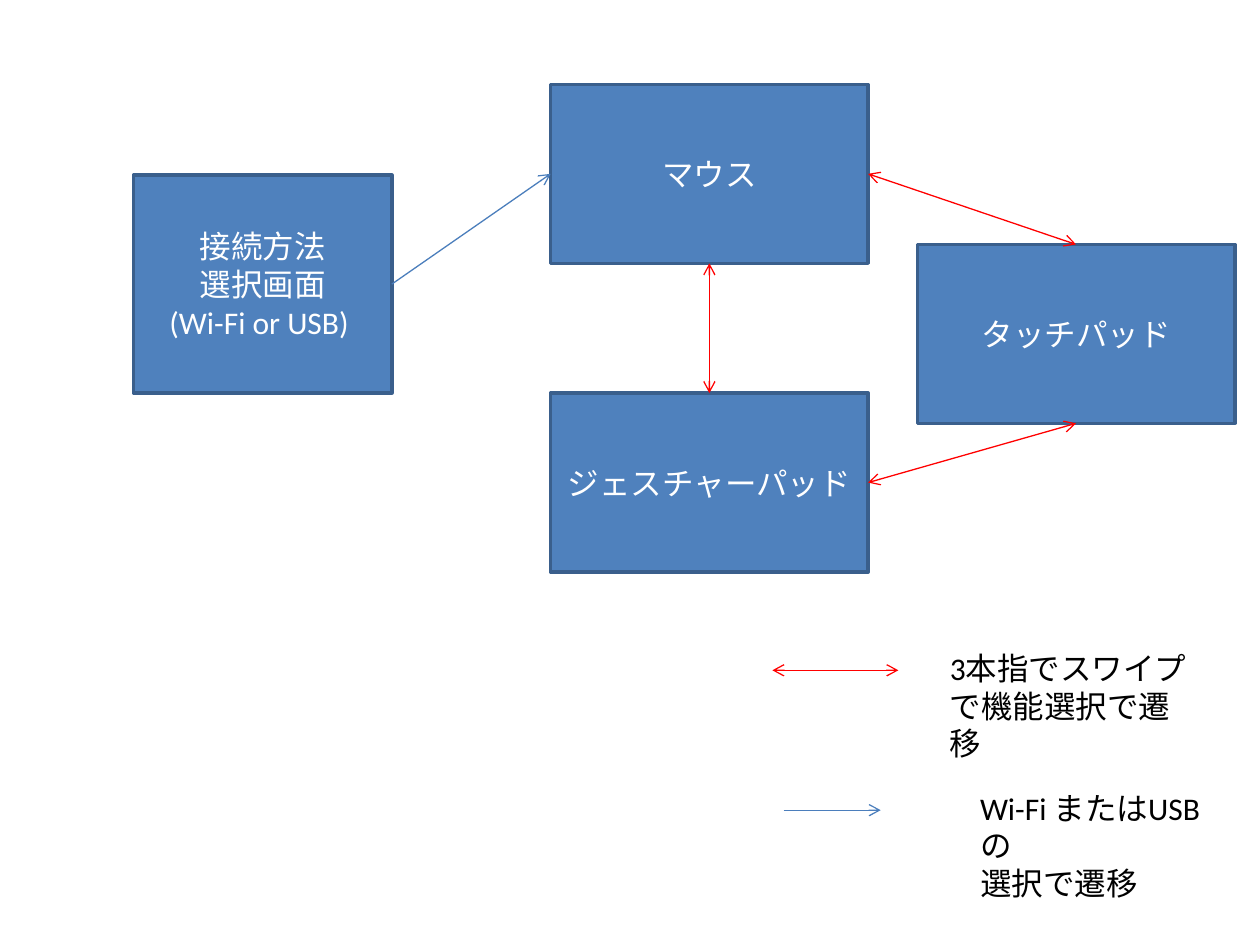
from lxml.etree import SubElement
from pptx import Presentation
from pptx.dml.color import RGBColor
from pptx.enum.shapes import MSO_CONNECTOR, MSO_SHAPE
from pptx.enum.text import MSO_ANCHOR, PP_ALIGN
from pptx.oxml.ns import qn
from pptx.util import Inches, Pt

FILL, BORDER, BLUE, RED = "4F81BD", "3A5F8C", "4B7EBC", "FF0000"
TOP, LEFT, BOTTOM, RIGHT = range(4)


def color(hex_code):
    """Return the colour for a hex string."""
    return RGBColor.from_string(hex_code)


def set_text(tf, text, hex_code, align):
    """Write the text and format all of its runs."""
    tf.word_wrap = True
    tf.text = text
    for p in tf.paragraphs:
        p.alignment = align
        for r in p.runs:
            r.font.name = "Calibri"
            r.font.size = Pt(18)
            r.font.color.rgb = color(hex_code)


def add_screen(s, text, x, y, w=2.52, h=1.42):
    """Add one screen of the flow as a labelled rectangle."""
    sp = s.shapes.add_shape(MSO_SHAPE.RECTANGLE, Inches(x), Inches(y), Inches(w), Inches(h))
    sp.shadow.inherit = False
    sp.fill.solid()
    sp.fill.fore_color.rgb = color(FILL)
    sp.line.color.rgb = color(BORDER)
    sp.line.width = Pt(2)
    sp.text_frame.vertical_anchor = MSO_ANCHOR.MIDDLE
    set_text(sp.text_frame, text, "FFFFFF", PP_ALIGN.CENTER)
    return sp


def add_arrow(s, hex_code, x1=0, y1=0, x2=0, y2=0):
    """Add an arrow, with a head at both ends when it is red."""
    cn = s.shapes.add_connector(MSO_CONNECTOR.STRAIGHT, Inches(x1), Inches(y1), Inches(x2), Inches(y2))
    cn.line.color.rgb = color(hex_code)
    cn.line.width = Pt(0.75)
    ln = cn.line._get_or_add_ln()
    for end in ("a:headEnd", "a:tailEnd") if hex_code == RED else ("a:tailEnd",):
        SubElement(ln, qn(end), type="arrow")
    SubElement(cn._element.spPr, qn("a:effectLst"))
    return cn


def join(s, hex_code, start, start_site, end, end_site):
    """Join two screens with an arrow."""
    cn = add_arrow(s, hex_code)
    cn.begin_connect(start, start_site)
    cn.end_connect(end, end_site)


def add_flow(s, x, y):
    """Add the screens and the transitions between them."""
    select = add_screen(s, "接続方法\n選択画面\n(Wi-Fi or USB) ", x, y + 0.72, 2.05, 1.73)
    mouse = add_screen(s, "マウス", x + 3.31, y)
    gesture = add_screen(s, "ジェスチャーパッド", x + 3.31, y + 2.45)
    touch = add_screen(s, "タッチパッド", x + 6.22, y + 1.27)
    join(s, BLUE, select, RIGHT, mouse, LEFT)
    join(s, RED, gesture, RIGHT, touch, BOTTOM)
    join(s, RED, mouse, RIGHT, touch, TOP)
    join(s, RED, mouse, BOTTOM, gesture, TOP)


def add_legend_row(s, hex_code, text, x, y, length, text_x):
    """Add an arrow sample and its meaning."""
    add_arrow(s, hex_code, x, y, x + length, y)
    tb = s.shapes.add_textbox(Inches(text_x), Inches(y - 0.22), Inches(2.17), Inches(0.71))
    set_text(tb.text_frame, text, "000000", PP_ALIGN.LEFT)


def main():
    """Build the slide and save it."""
    prs = Presentation()
    prs.slide_width, prs.slide_height = Inches(10), Inches(7.5)
    s = prs.slides.add_slide(prs.slide_layouts[6])
    add_flow(s, 1.06, 0.67)
    add_legend_row(s, RED, "3本指でスワイプ\nで機能選択で遷移", 6.13, 5.32, 1, 7.44)
    add_legend_row(s, BLUE, "Wi-Fi またはUSBの\n選択で遷移", 6.22, 6.43, 0.77, 7.68)
    prs.save("out.pptx")


if __name__ == "__main__":
    main()
